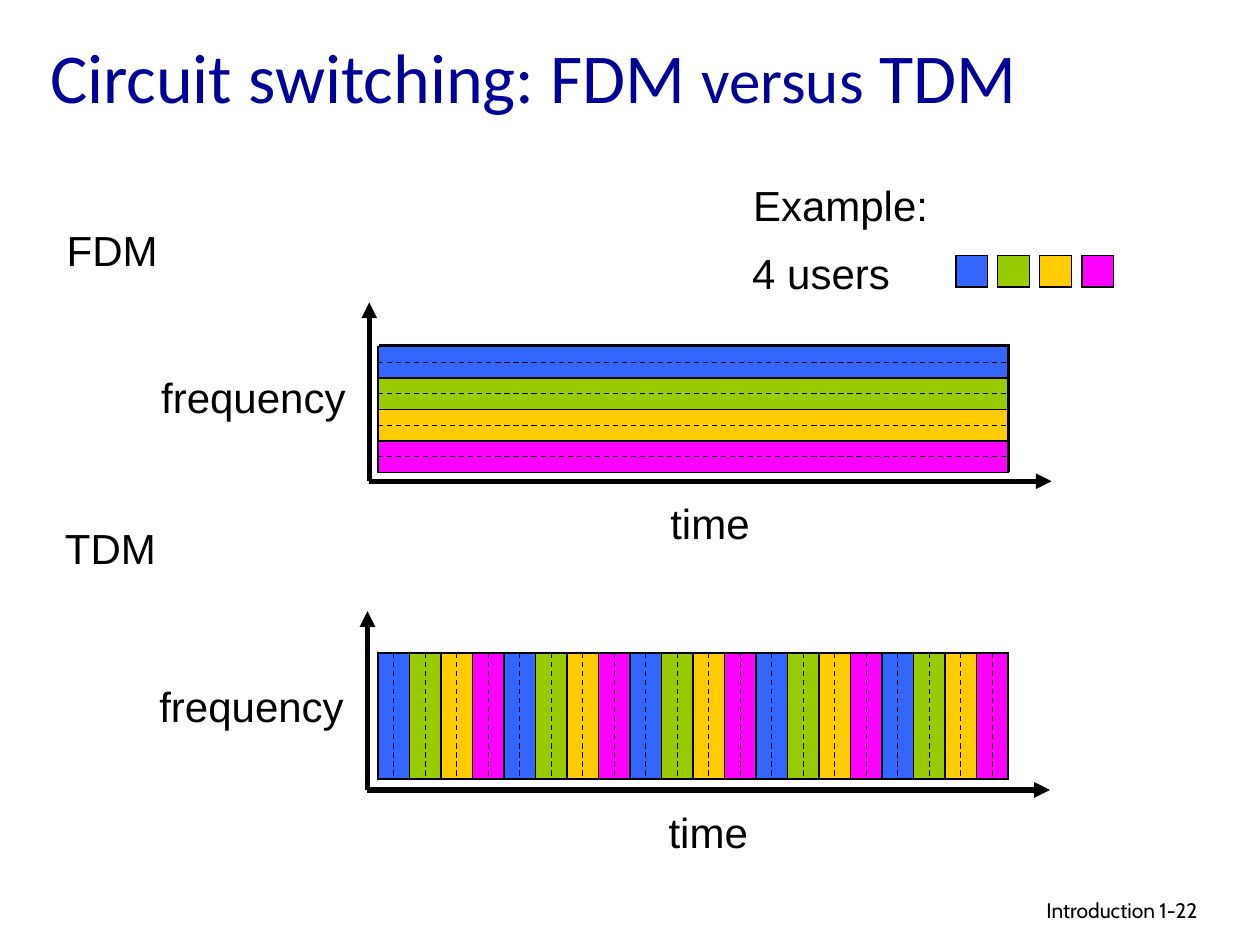
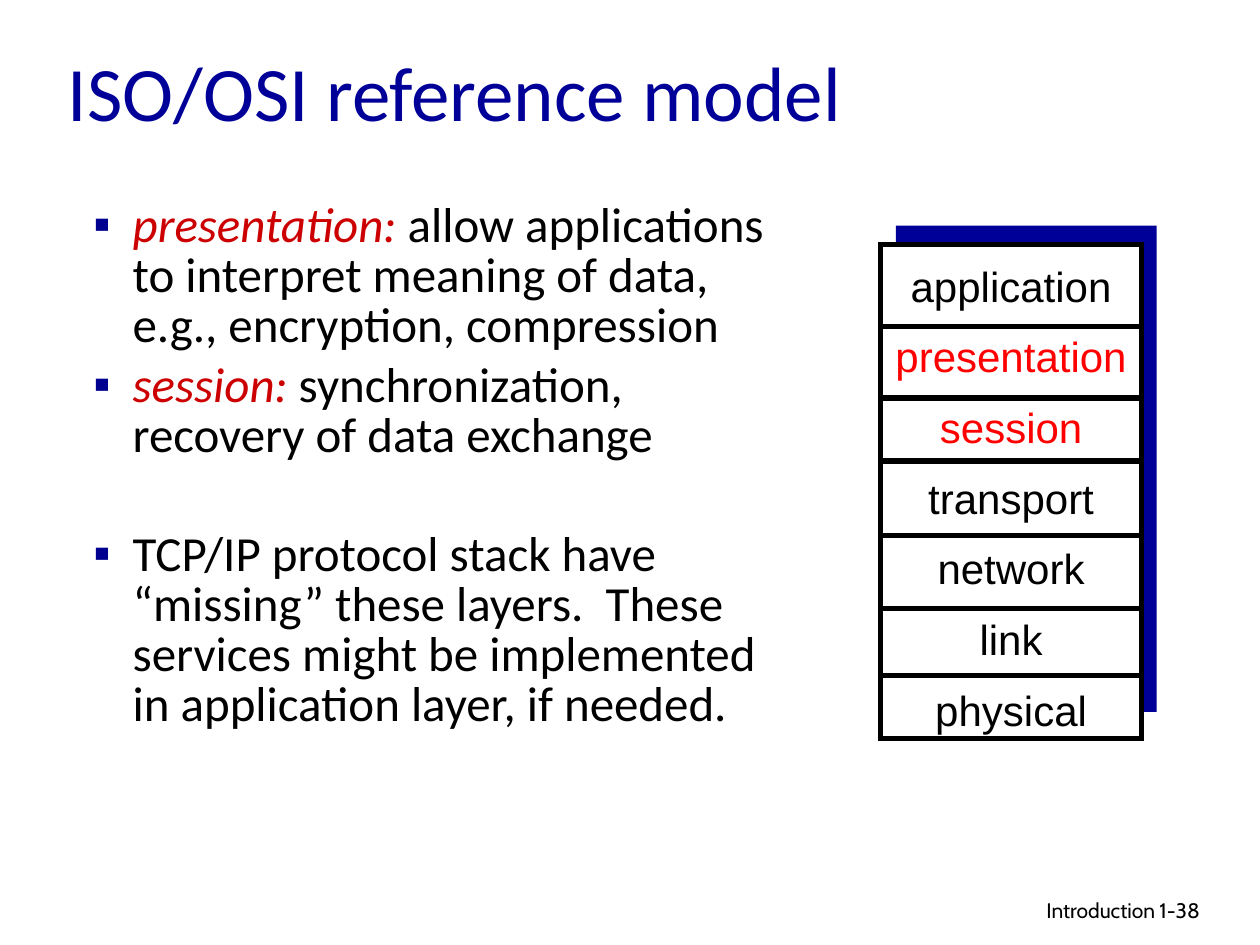
from dataclasses import dataclass
from typing import Optional

from lxml.etree import SubElement
from pptx import Presentation
from pptx.dml.color import RGBColor
from pptx.enum.dml import MSO_LINE
from pptx.enum.shapes import MSO_CONNECTOR, MSO_SHAPE
from pptx.enum.text import MSO_ANCHOR, PP_ALIGN
from pptx.oxml.ns import qn
from pptx.util import Pt

BLACK, WHITE, NAVY = "000000", "FFFFFF", "000099"
TERM_RED, LAYER_RED, BULLET_BLUE = "CC0000", "FF0000", "000090"
FRAME_GREEN = "00CC99"
USER_COLOURS = ["3366FF", "99CC00", "FFCC00", "FF00FF"]
SLOT = 18  # side of one user's share of a channel
CHANNEL_WIDTH, CHANNEL_HEIGHT = 20 * SLOT, 4 * SLOT
CHANNEL_LEFT = 216


@dataclass
class Area:
    left: float
    top: float
    width: float
    height: float

    def lengths(self) -> list:
        return [Pt(value) for value in (self.left, self.top, self.width, self.height)]


@dataclass
class Span:
    text: str
    size: Optional[float] = None
    colour: Optional[str] = None
    italic: Optional[bool] = None


@dataclass
class Bullet:
    spans: list
    space_before: float = 5.6


@dataclass
class Layer:
    name: str
    colour: str = BLACK


@dataclass
class Divider:
    left: float
    top: float


@dataclass
class Multiplexing:
    name: str
    name_top: float
    shift_x: float
    shift_y: float
    frame: Area
    slots: list
    across: bool  # slots run along the time axis


def rgb(colour: str) -> RGBColor:
    return RGBColor.from_string(colour)


def add_text(page, area: Area, spans: list, font: str, size: float,
             colour: str = BLACK, align=PP_ALIGN.LEFT, wrap: bool = True):
    box = page.shapes.add_textbox(*area.lengths())
    box.text_frame.word_wrap = wrap
    write_spans(box.text_frame.paragraphs[0], spans, font, size, colour, align)
    return box


def write_spans(para, spans: list, font: str, size: float, colour: str, align=PP_ALIGN.LEFT):
    """Set the paragraph's font, then override it only where a span differs."""
    para.alignment = align
    para.font.name, para.font.size = font, Pt(size)
    para.font.color.rgb = rgb(colour)
    for span in spans:
        run = para.add_run()
        run.text = span.text
        if span.size:
            run.font.size = Pt(span.size)
        if span.colour:
            run.font.color.rgb = rgb(span.colour)
        if span.italic:
            run.font.italic = True


def add_label(page, text: str, area: Area):
    add_text(page, area, [Span(text)], "Arial", 24, wrap=False)


def add_box(page, area: Area, fill: str, line_width: float = 0.75):
    box = page.shapes.add_shape(MSO_SHAPE.RECTANGLE, *area.lengths())
    box.shadow.inherit = False
    box.fill.solid()
    box.fill.fore_color.rgb = rgb(fill)
    if line_width:
        box.line.color.rgb = rgb(BLACK)
        box.line.width = Pt(line_width)
        SubElement(box.line._get_or_add_ln(), qn("a:miter"), lim="800000")
    else:
        box.line.fill.background()
    return box


def add_line(page, start: tuple, end: tuple, width: float = 0.75, arrow: bool = False):
    line = page.shapes.add_connector(
        MSO_CONNECTOR.STRAIGHT, *[Pt(value) for value in (*start, *end)])
    line.line.color.rgb = rgb(BLACK)
    line.line.width = Pt(width)
    if arrow:
        SubElement(line.line._get_or_add_ln(), qn("a:tailEnd"), type="triangle")
    SubElement(line._element.spPr, qn("a:effectLst"))
    return line


def add_page(deck, title: list, title_area: Area, title_size: float, number: str):
    page = deck.slides.add_slide(deck.slide_layouts[6])
    box = add_text(page, title_area, title, "Calibri", title_size, NAVY)
    box.text_frame.vertical_anchor = MSO_ANCHOR.MIDDLE
    add_text(page, Area(439, 509.3, 228.2, 22), [Span("Introduction")],
             "Cabin", 12, align=PP_ALIGN.RIGHT)
    add_text(page, Area(655.5, 509.3, 53.3, 21.6), [Span(number)], "Cabin", 12)
    return page


def add_multiplexing(page, scheme: Multiplexing):
    x, y = scheme.shift_x, scheme.shift_y
    origin = (211 + x, 275 + y)
    add_label(page, scheme.name, Area(31 + x, scheme.name_top, 66.2, 36))
    add_label(page, "frequency", Area(85 + x, 208.8 + y, 120.2, 36))
    add_label(page, "time", Area(376 + x, 280.8 + y, 59.8, 36))
    add_line(page, origin, (origin[0], 172.8 + y), 3, arrow=True)
    add_line(page, origin, (601 + x, origin[1]), 3, arrow=True)
    add_box(page, scheme.frame, FRAME_GREEN)

    boxes = [add_box(page, slot, USER_COLOURS[index % len(USER_COLOURS)])
             for index, slot in enumerate(scheme.slots)]
    for slot in scheme.slots[1:]:
        end = ((slot.left, slot.top + slot.height) if scheme.across
               else (slot.left + slot.width, slot.top))
        add_line(page, (slot.left, slot.top), end)
    first_side, last_side = (0, 2) if scheme.across else (1, 3)
    for box in boxes:
        middle = add_line(page, (0, 0), (0, 0))
        middle.begin_connect(box, first_side)
        middle.end_connect(box, last_side)
        middle.line.dash_style = MSO_LINE.DASH


def build_multiplexing_page(deck):
    title = [Span("Circuit switching: FDM "), Span("versus", size=36), Span(" TDM")]
    page = add_page(deck, title, Area(21.6, 5.8, 666.7, 74.9), 40, "1-22")
    bands = [Area(CHANNEL_LEFT, 198 + SLOT * row, CHANNEL_WIDTH, SLOT) for row in range(4)]
    tdm_frame = Area(CHANNEL_LEFT, 373.2, CHANNEL_WIDTH, CHANNEL_HEIGHT)
    time_slots = [Area(CHANNEL_LEFT + SLOT * column, tdm_frame.top, SLOT, CHANNEL_HEIGHT)
                  for column in range(20)]
    fdm_frame = Area(216.7, 197.2, CHANNEL_WIDTH, CHANNEL_HEIGHT)
    add_multiplexing(page, Multiplexing("FDM", 124.6, 0, 0, fdm_frame, bands, across=False))
    add_multiplexing(page, Multiplexing("TDM", 295.2, -1, 176.4, tdm_frame, time_slots,
                                        across=True))

    add_label(page, "Example:", Area(423.2, 99, 114.5, 36))
    add_label(page, "4 users", Area(422.8, 138.2, 93.6, 36))
    for index, colour in enumerate(USER_COLOURS):
        add_box(page, Area(546.2 + 24 * index, 146, SLOT, SLOT), colour)


def add_bullets(page, area: Area, bullets: list):
    frame = page.shapes.add_textbox(*area.lengths()).text_frame
    frame.word_wrap = True
    for index, bullet in enumerate(bullets):
        para = frame.add_paragraph() if index else frame.paragraphs[0]
        write_spans(para, bullet.spans, "Calibri", 28, BLACK)
        para.line_spacing = 0.85
        para.space_before = Pt(bullet.space_before)
        properties = para._p.get_or_add_pPr()
        properties.set("marL", str(Pt(22.5)))
        properties.set("indent", str(Pt(-22.5)))
        mark = SubElement(properties, qn("a:buClr"))
        SubElement(mark, qn("a:srgbClr"), val=BULLET_BLUE)
        SubElement(properties, qn("a:buFont"), typeface="Arial")
        SubElement(properties, qn("a:buChar"), char="▪")
        # The schema wants default run properties after the bullet.
        properties.append(properties.find(qn("a:defRPr")))


def add_layer_stack(page, layers: list, dividers: list):
    add_box(page, Area(503.3, 139.7, 149, 282.2), WHITE, 3)
    frame = page.shapes.add_textbox(*Area(499.7, 153.1, 156.2, 270).lengths()).text_frame
    frame.word_wrap = True
    for index, layer in enumerate(layers):
        para = frame.add_paragraph() if index else frame.paragraphs[0]
        write_spans(para, [Span(layer.name)], "Arial", 24, layer.colour, PP_ALIGN.CENTER)
        para.line_spacing = 0.7
        para.space_before = Pt(20.2 if index else 0)
    for divider in dividers:
        add_line(page, (divider.left, divider.top), (divider.left + 148.6, divider.top), 3)


def build_reference_model_page(deck):
    page = add_page(deck, [Span("ISO/OSI reference model")],
                    Area(31.7, 6.8, 511.9, 90), 44, "1-38")
    add_box(page, Area(512, 128.9, 149, 277.9), NAVY, 0)
    add_bullets(page, Area(46.2, 112.3, 406, 365.8), [
        Bullet([Span("presentation:", colour=TERM_RED, italic=True),
                Span(" allow applications to interpret meaning of data, "
                     "e.g., encryption, compression")]),
        Bullet([Span("session:", colour=TERM_RED, italic=True),
                Span(" synchronization, recovery of data exchange")]),
        Bullet([Span("TCP/IP protocol stack have “missing” these layers.  These services "
                     "might be implemented in application layer, if needed.")],
               space_before=39.6),
    ])
    layers = [Layer("application"), Layer("presentation", LAYER_RED),
              Layer("session", LAYER_RED), Layer("transport"),
              Layer("network"), Layer("link"), Layer("physical")]
    dividers = [Divider(502, 186.5), Divider(502, 227.5), Divider(502.8, 263.5),
                Divider(502.8, 306), Divider(502, 347.8), Divider(502.8, 386)]
    add_layer_stack(page, layers, dividers)


def main():
    deck = Presentation()
    deck.slide_width, deck.slide_height = Pt(720), Pt(540)
    build_multiplexing_page(deck)
    build_reference_model_page(deck)
    deck.save("out.pptx")


if __name__ == "__main__":
    main()
